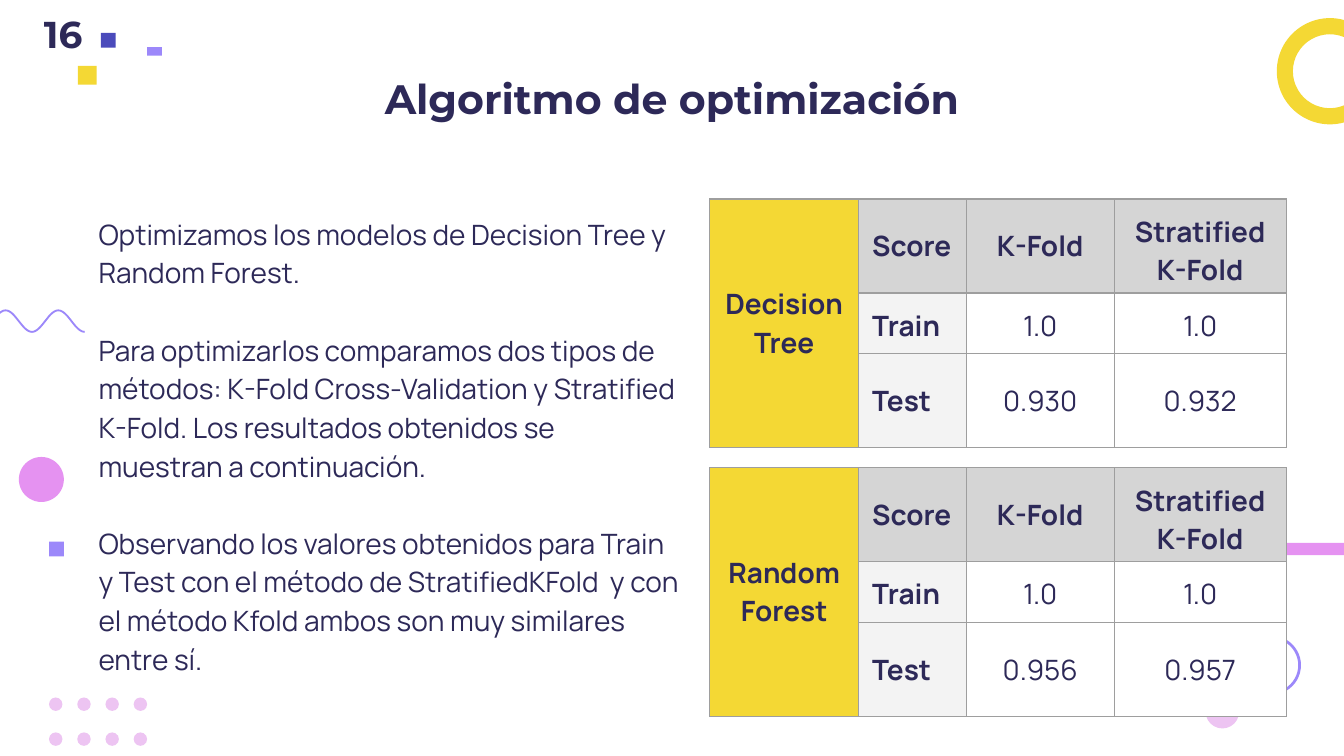
"""Build the optimisation slide on a grid of 100 columns."""
from math import cos, pi

from lxml.etree import SubElement
from pptx import Presentation
from pptx.dml.color import RGBColor
from pptx.enum.shapes import MSO_SHAPE
from pptx.enum.text import MSO_ANCHOR, PP_ALIGN
from pptx.oxml.ns import qn
from pptx.util import Inches, Pt

WHITE = RGBColor(0xFF, 0xFF, 0xFF)
NAVY = RGBColor(0x2D, 0x29, 0x58)
YELLOW = RGBColor(0xF4, 0xD8, 0x34)
LILAC = RGBColor(0x9C, 0x88, 0xFA)
BLUE = RGBColor(0x4B, 0x4B, 0xBB)
PINK = RGBColor(0xE5, 0x92, 0xF1)
PALE_PINK = RGBColor(0xED, 0xC4, 0xF2)
GREY = RGBColor(0xD5, 0xD5, 0xD5)
PALE_GREY = RGBColor(0xF3, 0xF3, 0xF3)
BORDER = RGBColor(0x9E, 0x9E, 0x9E)

prs = Presentation()
prs.slide_width = Inches(10)
prs.slide_height = prs.slide_width * 9 // 16
U = prs.slide_width // 100
s = prs.slides.add_slide(prs.slide_layouts[6])


def add_block(kind, x, y, w, h, color):
    sp = s.shapes.add_shape(kind, *(round(v * U) for v in (x, y, w, h)))
    sp.shadow.inherit = False
    sp.fill.solid()
    sp.fill.fore_color.rgb = color
    sp.line.fill.background()
    return sp


def write(tf, lines, font, size, bold, align, anchor=MSO_ANCHOR.MIDDLE):
    tf.word_wrap = True
    tf.vertical_anchor = anchor
    tf.margin_left = tf.margin_right = tf.margin_top = tf.margin_bottom = U
    tf.text = "\n".join(lines)
    for p in tf.paragraphs:
        p.alignment = align
        for r in p.runs:
            r.font.name = font
            r.font.size = Pt(size)
            r.font.bold = bold
            r.font.color.rgb = NAVY


for row in range(2):
    for col in range(4):
        add_block(MSO_SHAPE.OVAL, 3.65 + 2.1 * col, 51.9 + 2.6 * row, 1, 1, PALE_PINK)

wave = [((-3.5 + 9.8 * i / 100) * U, (23.9 - 0.8 * cos(5 * pi * i / 100)) * U)
        for i in range(101)]
fb = s.shapes.build_freeform(round(wave[0][0]), round(wave[0][1]))
fb.add_line_segments([(round(x), round(y)) for x, y in wave[1:]], close=False)
sp = fb.convert_to_shape()
sp.shadow.inherit = False
sp.fill.background()
sp.line.color.rgb = LILAC
sp.line.width = Pt(1)

for x, y, size, thickness, color in [(95, 1.35, 7.9, 1.2, YELLOW), (92.4, 47.3, 4.4, 0.2, LILAC)]:
    sp = add_block(MSO_SHAPE.DONUT, x, y, size, size, color)
    sp.adjustments[0] = thickness / size

for kind, x, y, w, h, color in [
    (MSO_SHAPE.OVAL, 1.4, 34, 3.35, 3.35, PINK),
    (MSO_SHAPE.RECTANGLE, 93.5, 40.4, 8.8, 0.9, PINK),
    (MSO_SHAPE.RECTANGLE, 5.8, 4.9, 1.4, 1.4, YELLOW),
    (MSO_SHAPE.RECTANGLE, 10.95, 3.5, 1.1, 1.1, LILAC),
    (MSO_SHAPE.RECTANGLE, 7.5, 2.45, 1.1, 1.1, BLUE),
    (MSO_SHAPE.RECTANGLE, 3.65, 40.3, 1.1, 1.1, LILAC),
    (MSO_SHAPE.OVAL, 89.7, 51.7, 2.5, 2.5, PALE_PINK),
]:
    add_block(kind, x, y, w, h, color)

title = add_block(MSO_SHAPE.RECTANGLE, 8.3, 4.15, 83.4, 6.3, WHITE)
write(title.text_frame, ["Algoritmo de optimización"], "Montserrat", 22, True, PP_ALIGN.CENTER)

number = s.shapes.add_textbox(0, 0, round(9.4 * U), 5 * U)
write(number.text_frame, ["16"], "Montserrat", 20, True, PP_ALIGN.CENTER)

body = add_block(MSO_SHAPE.RECTANGLE, 6.35, 14.8, 45.4, 36.5, WHITE)
write(body.text_frame, [
    "Optimizamos los modelos de Decision Tree y Random Forest.",
    "Para optimizarlos comparamos dos tipos de métodos: K-Fold Cross-Validation y Stratified "
    "K-Fold. Los resultados obtenidos se muestran a continuación.",
    "Observando los valores obtenidos para Train y Test con el método de StratifiedKFold  y con "
    "el método Kfold ambos son muy similares entre sí.",
], "Manrope", 15, False, PP_ALIGN.LEFT, MSO_ANCHOR.TOP)
for p in body.text_frame.paragraphs:
    p.line_spacing = 1.15
for p in body.text_frame.paragraphs[:-1]:
    p.space_after = Pt(20.7)

col_widths = [11.1, 8, 11, 12.8]
row_heights = [7, 4.5, 7]
for model, top, tests in [
    ("Decision Tree", 14.8, ["0.930", "0.932"]),
    ("Random Forest", 34.8, ["0.956", "0.957"]),
]:
    rows = [
        [model, "Score", "K-Fold", "Stratified K-Fold"],
        ["", "Train", "1.0", "1.0"],
        ["", "Test", *tests],
    ]
    tbl = s.shapes.add_table(3, 4, round(52.8 * U), round(top * U),
                             round(sum(col_widths) * U), round(sum(row_heights) * U)).table
    tbl.first_row = tbl.horz_banding = False
    for col, width in zip(tbl.columns, col_widths):
        col.width = round(width * U)
    for row, height in zip(tbl.rows, row_heights):
        row.height = round(height * U)
    tbl.cell(0, 0).merge(tbl.cell(2, 0))
    for i, texts in enumerate(rows):
        for j, text in enumerate(texts):
            cell = tbl.cell(i, j)
            write(cell.text_frame, [text], "Manrope", 15, i == 0 or j < 2,
                  PP_ALIGN.LEFT if j == 1 else PP_ALIGN.CENTER)
            cell.vertical_anchor = MSO_ANCHOR.MIDDLE
            cell.margin_left = cell.margin_right = cell.margin_top = U
            cell.margin_bottom = round(0.25 * U) if text == "Stratified K-Fold" else U
            tcPr = cell._tc.get_or_add_tcPr()
            for side in ("a:lnL", "a:lnR", "a:lnT", "a:lnB"):
                ln = SubElement(tcPr, qn(side), w=str(Pt(0.75)))
                SubElement(SubElement(ln, qn("a:solidFill")), qn("a:srgbClr"), val=str(BORDER))
            cell.fill.solid()
            cell.fill.fore_color.rgb = (YELLOW if j == 0 else GREY if i == 0
                                        else PALE_GREY if j == 1 else WHITE)

prs.save("out.pptx")
